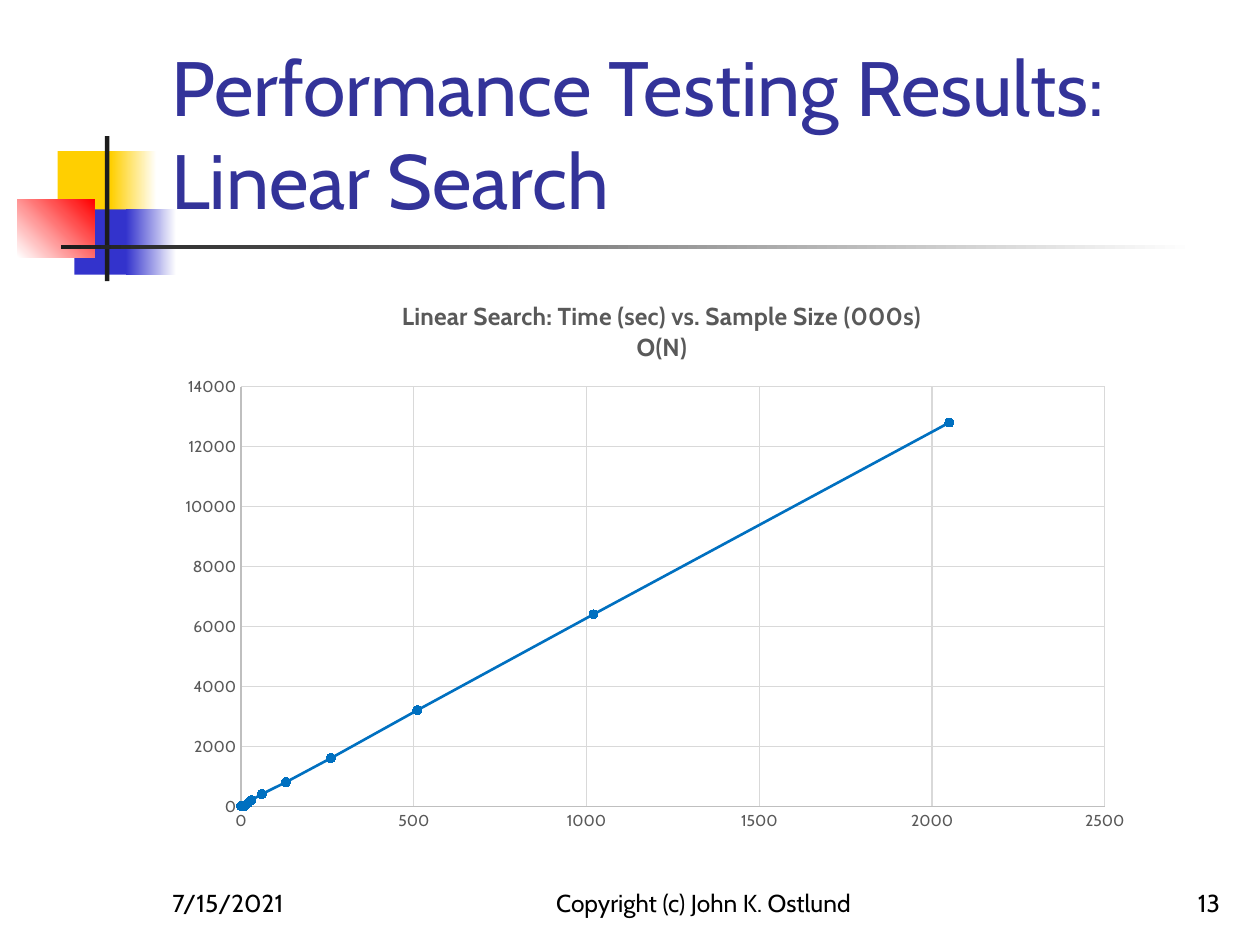
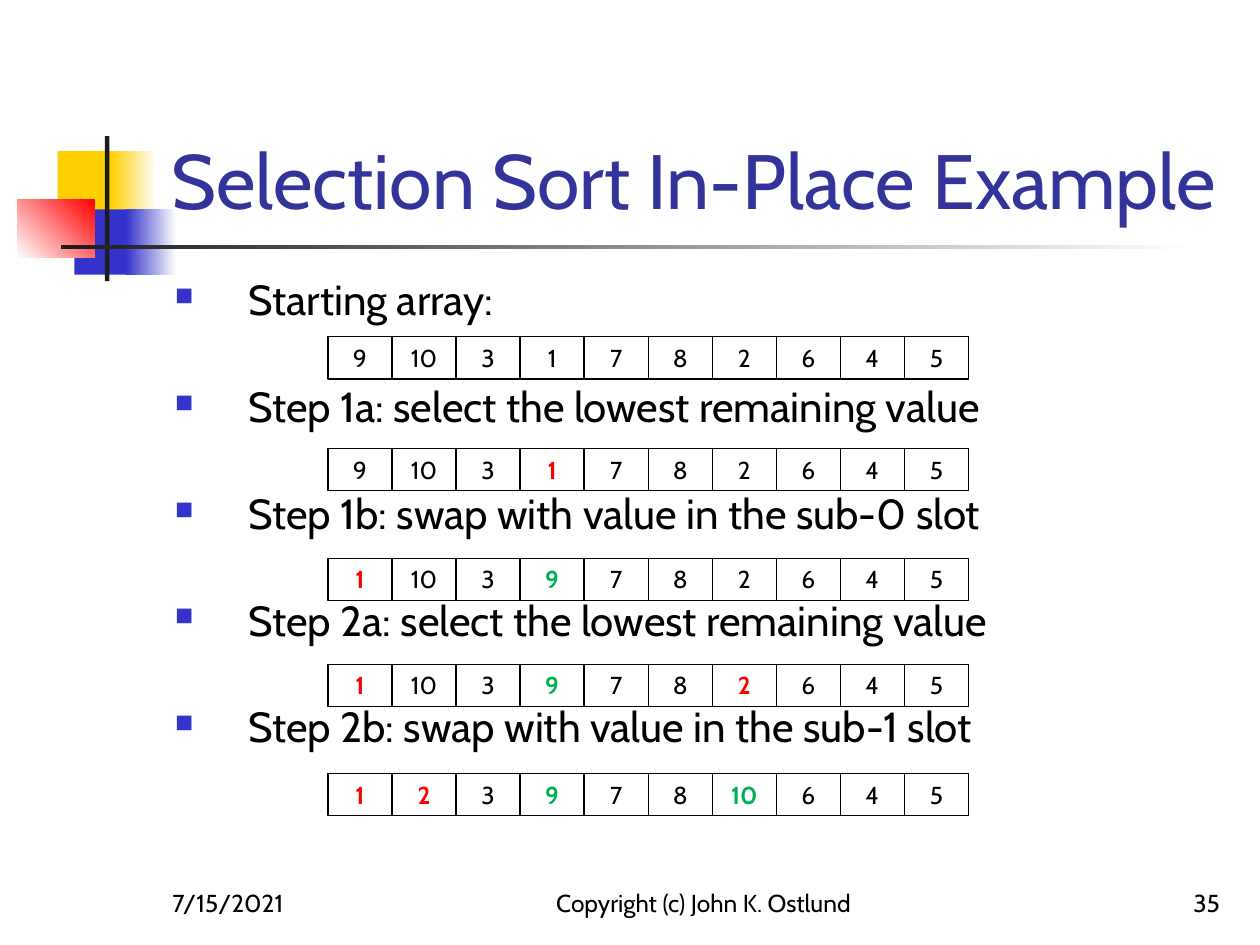
"""Build two slides on searching and sorting."""
from typing import Any, NamedTuple, Optional

from lxml import etree
from pptx import Presentation
from pptx import util as u
from pptx.chart.data import XyChartData
from pptx.dml.color import RGBColor
from pptx.enum import chart as charts, shapes, text
from pptx.oxml.ns import qn
from pptx.slide import Slide

GOLD = RGBColor(0xFF, 0xCF, 0x01)
BLUE = RGBColor(0x33, 0x33, 0xCC)
NAVY = RGBColor(0x33, 0x33, 0x99)
RED = RGBColor(0xFF, 0x00, 0x00)
GREEN = RGBColor(0x00, 0xB0, 0x50)
INK = RGBColor(0x1C, 0x1C, 0x1C)
BLACK = RGBColor(0x00, 0x00, 0x00)
WHITE = RGBColor(0xFF, 0xFF, 0xFF)
PLOT = RGBColor(0x00, 0x70, 0xC0)
GRAY = RGBColor(0x59, 0x59, 0x59)
RULE = RGBColor(0xBF, 0xBF, 0xBF)
GRID = RGBColor(0xD9, 0xD9, 0xD9)
FONT = "Cabin"
LEFT, RIGHT, MID = text.PP_ALIGN.LEFT, text.PP_ALIGN.RIGHT, text.PP_ALIGN.CENTER
TOP, LOW = text.MSO_ANCHOR.TOP, text.MSO_ANCHOR.BOTTOM
CELL_X, CELL_W, CELL_H = 187.4, 36.6, 24.2


class Box(NamedTuple):
    """A place on the slide, in points."""
    x: float
    y: float
    w: float
    h: float

    def pts(self) -> list[u.Length]:
        """Give the four lengths."""
        return [u.Pt(n) for n in self]


class Block(NamedTuple):
    """A decorative rectangle, plain or fading to a second colour."""
    box: Box
    start: RGBColor
    end: Optional[RGBColor] = None
    angle: float = 0


class Row(NamedTuple):
    """One state of the array, with its found and moved slots."""
    top: float
    step: str
    nums: tuple[int, ...]
    found: tuple[int, ...] = ()
    moved: tuple[int, ...] = ()


BLOCKS = (
    Block(Box(33, 86.4, 34.5, 37.4), GOLD),
    Block(Box(63.4, 86.4, 26, 37.4), GOLD, WHITE),
    Block(Box(42.5, 119.6, 33, 37.4), BLUE),
    Block(Box(72, 119.6, 28.8, 37.4), BLUE, WHITE),
    Block(Box(10, 113.8, 44, 33.2), WHITE, RED, 45),
    Block(Box(60, 77.8, 2.5, 82.8), INK),
    Block(Box(34.8, 140, 648, 2.5), INK, WHITE),
)
TITLE = Box(90.7, 16.6, 613.4, 115.2)
BODY = Box(92.9, 156.2, 612, 324)
CHART = Box(92.9, 156.2, 560.9, 324)
DATE = Box(91.4, 491.8, 149.8, 36)
NOTE = Box(288, 491.8, 228.2, 36)
PAGE = Box(554.4, 491.8, 149.8, 36)

SIZES = (0, 0, 0, 10, 20, 30, 60, 130, 260, 510, 1020, 2050)
TIMES = (0, 0, 0, 0, 100, 200, 400, 800, 1600, 3200, 6400, 12800)

ROWS = (
    Row(192.4, "Starting array:", (9, 10, 3, 1, 7, 8, 2, 6, 4, 5)),
    Row(256.3, "Step 1a: select the lowest remaining value",
        (9, 10, 3, 1, 7, 8, 2, 6, 4, 5), (3,)),
    Row(319, "Step 1b: swap with value in the sub-0 slot",
        (1, 10, 3, 9, 7, 8, 2, 6, 4, 5), (0,), (3,)),
    Row(379.6, "Step 2a: select the lowest remaining value",
        (1, 10, 3, 9, 7, 8, 2, 6, 4, 5), (0, 6), (3,)),
    Row(442, "Step 2b: swap with value in the sub-1 slot",
        (1, 2, 3, 9, 7, 8, 10, 6, 4, 5), (0, 1), (3, 6)),
)


def style(font: Any, size: float, color: RGBColor, bold: bool = False) -> None:
    """Set the looks of a font."""
    font.name, font.size, font.bold = FONT, u.Pt(size), bold
    font.color.rgb = color


def write(frame: Any, words: str, *, size: float = 14, color: RGBColor = BLACK,
          bold: bool = False, align: Any = LEFT, anchor: Any = TOP,
          bullet: bool = False, lead: Optional[float] = None, gap: float = 0) -> None:
    """Fill a text frame with one paragraph for each line of words."""
    frame.word_wrap = True
    frame.vertical_anchor = anchor
    for i, line in enumerate(words.split("\n")):
        para = frame.paragraphs[0] if i == 0 else frame.add_paragraph()
        if bullet:
            mark(para)
        para.alignment = align
        if lead:
            para.line_spacing = lead
        if i and gap:
            para.space_before = u.Pt(gap)
        run = para.add_run()
        run.text = line
        style(run.font, size, color, bold)


def mark(para: Any) -> None:
    """Give a paragraph a small blue square bullet."""
    props = para._p.get_or_add_pPr()
    props.set("marL", str(u.Pt(42)))
    props.set("indent", str(u.Pt(-42)))
    tint = etree.SubElement(props, qn("a:buClr"))
    etree.SubElement(tint, qn("a:srgbClr"), val=str(BLUE))
    etree.SubElement(props, qn("a:buSzPct"), val="60000")
    etree.SubElement(props, qn("a:buChar"), char="■")


def label(slide: Slide, box: Box, words: str, **form: Any) -> None:
    """Add a text box."""
    write(slide.shapes.add_textbox(*box.pts()).text_frame, words, **form)


def rect(group: Any, box: Box) -> Any:
    """Add a rectangle with no shadow."""
    shape = group.add_shape(shapes.MSO_SHAPE.RECTANGLE, *box.pts())
    shape.shadow.inherit = False
    return shape


def paint(slide: Slide, block: Block) -> None:
    """Draw one decorative block."""
    shape = rect(slide.shapes, block.box)
    shape.line.fill.background()
    if block.end is None:
        shape.fill.solid()
        shape.fill.fore_color.rgb = block.start
        return
    shape.fill.gradient()
    shape.fill.gradient_angle = block.angle
    for stop, color, spot in zip(shape.fill.gradient_stops, block[1:3], (0, 1)):
        stop.color.rgb, stop.position = color, spot


def base(deck: Any, title: str, page: int) -> Slide:
    """Add a slide with the shared art, title and footer."""
    slide = deck.slides.add_slide(deck.slide_layouts[6])
    for block in BLOCKS:
        paint(slide, block)
    label(slide, TITLE, title, size=44, color=NAVY, anchor=LOW)
    label(slide, PAGE, str(page), align=RIGHT, anchor=LOW)
    label(slide, DATE, "7/15/2021", anchor=LOW)
    label(slide, NOTE, "Copyright (c) John K. Ostlund", align=MID, anchor=LOW)
    return slide


def place(part: Any, **spots: float) -> None:
    """Fix a chart part at fractions of the chart's size."""
    frame = part.find(qn("c:layout"))
    if frame is None:
        frame = etree.Element(qn("c:layout"))
        part.insert(0, frame)
    hand = etree.SubElement(frame, qn("c:manualLayout"))
    if "w" in spots:
        etree.SubElement(hand, qn("c:layoutTarget"), val="inner")
    for mode in ("xMode", "yMode"):
        etree.SubElement(hand, qn(f"c:{mode}"), val="edge")
    for key, spot in spots.items():
        etree.SubElement(hand, qn(f"c:{key}"), val=str(spot))


def stroke(line: Any, color: RGBColor, width: float = 0.75) -> None:
    """Set a line's colour and width."""
    line.color.rgb, line.width = color, u.Pt(width)


def scale(axis: Any, top: int, step: int) -> None:
    """Set the range and looks of an axis."""
    axis.minimum_scale, axis.maximum_scale, axis.major_unit = 0, top, step
    axis.major_tick_mark = axis.minor_tick_mark = charts.XL_TICK_MARK.NONE
    axis.has_major_gridlines = True
    stroke(axis.major_gridlines.format.line, GRID)
    stroke(axis.format.line, RULE)
    style(axis.tick_labels.font, 9, GRAY)


def graph(slide: Slide) -> None:
    """Add the scatter chart of search times."""
    data = XyChartData()
    points = data.add_series("Series 1")
    for size, time in zip(SIZES, TIMES):
        points.add_data_point(size, time)
    kind = charts.XL_CHART_TYPE.XY_SCATTER_LINES
    chart = slide.shapes.add_chart(kind, *CHART.pts(), data).chart
    style(chart.font, 10, BLACK)
    chart.has_legend = False
    chart.has_title = True
    write(chart.chart_title.text_frame,
          "Linear Search: Time (sec) vs. Sample Size (000s)\nO(N)",
          color=GRAY, bold=True, align=MID)
    root = chart._chartSpace.chart
    place(root.find(qn("c:title")), x=0.24, y=0.04)
    place(root.plotArea, x=0.08, y=0.2, w=0.88, h=0.74)
    scale(chart.category_axis, 2500, 500)
    scale(chart.value_axis, 14000, 2000)
    plot = chart.plots[0]
    plot.vary_by_categories = False
    series = plot.series[0]
    series.smooth = False
    stroke(series.format.line, PLOT, 1.5)
    dot = series.marker
    dot.style, dot.size = charts.XL_MARKER_STYLE.CIRCLE, 5
    dot.format.fill.solid()
    dot.format.fill.fore_color.rgb = PLOT
    stroke(dot.format.line, PLOT)


def array(slide: Slide, row: Row) -> None:
    """Draw one array as a group of cells."""
    group = slide.shapes.add_group_shape().shapes
    for i, num in enumerate(row.nums):
        cell = rect(group, Box(CELL_X + i * CELL_W, row.top, CELL_W, CELL_H))
        cell.fill.background()
        stroke(cell.line, BLACK)
        color = RED if i in row.found else GREEN if i in row.moved else BLACK
        write(cell.text_frame, str(num), color=color, bold=color != BLACK, align=MID)


def main() -> None:
    """Build and save the deck."""
    deck = Presentation()
    deck.slide_width, deck.slide_height = u.Pt(720), u.Pt(540)
    graph(base(deck, "Performance Testing Results: Linear Search", 13))
    slide = base(deck, "Selection Sort In-Place Example", 35)
    label(slide, BODY, "\n".join(row.step for row in ROWS), size=24,
          bullet=True, lead=0.9, gap=35.1)
    for row in ROWS:
        array(slide, row)
    deck.save("out.pptx")


if __name__ == "__main__":
    main()
